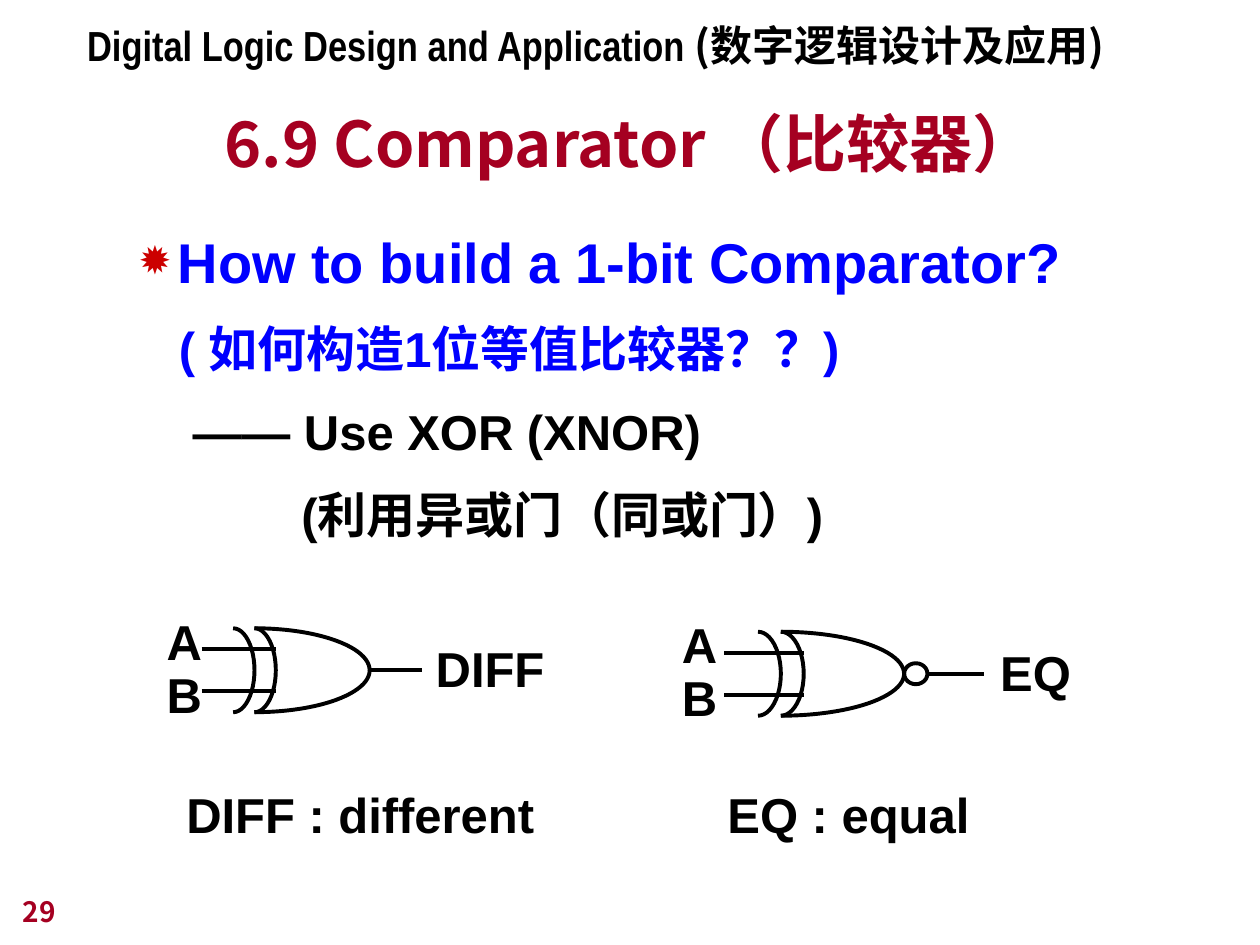
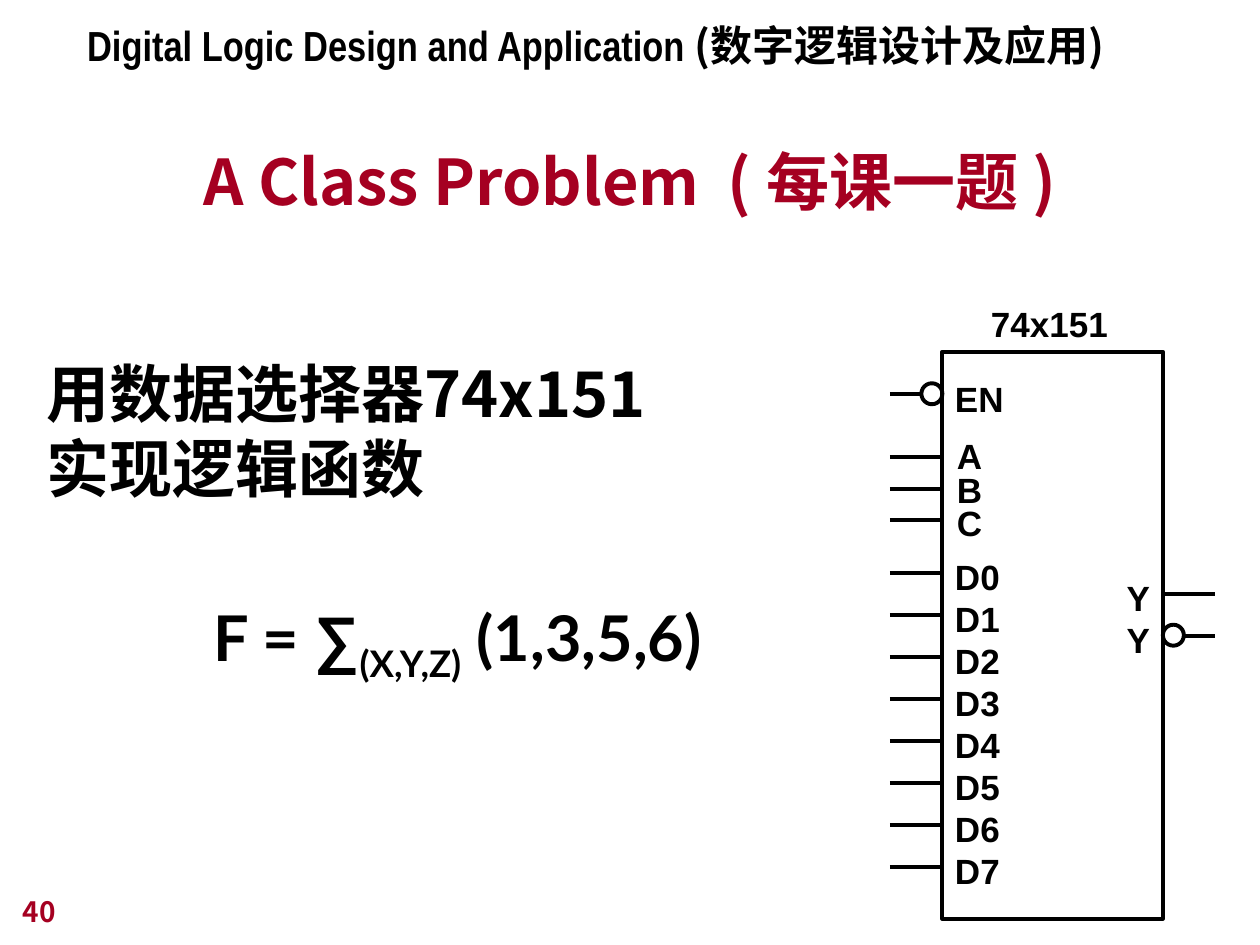
"""Build two slides on comparators and a multiplexer class problem."""
import lxml.etree
import pptx
import pptx.dml.color
import pptx.enum.shapes
import pptx.enum.text
import pptx.oxml.ns
import pptx.util

Pt = pptx.util.Pt
qn = pptx.oxml.ns.qn
Shape = pptx.enum.shapes.MSO_SHAPE
Anchor = pptx.enum.text.MSO_ANCHOR
Align = pptx.enum.text.PP_ALIGN

HUES = {"ink": "000000", "wine": "A50021", "blue": "0000FF", "red": "CC0000"}
CJK = "Noto Sans CJK JP"
LABEL = {"name": "Arial", "size": 28, "bold": True, "hue": "ink"}
PIN = LABEL | {"size": 20}
TITLE = LABEL | {"name": CJK, "size": 36, "hue": "wine"}
TASK = TITLE | {"hue": "ink"}
HEAD = LABEL | {"name": "Arial Narrow", "size": 24}
PAGE = TITLE | {"size": 16}
SUM = LABEL | {"name": "Lato", "size": 36}


def text(shape, box, paras, look, space=1.0, anchor=Anchor.TOP, align=Align.LEFT, wrap=False):
    shape.left, shape.top, shape.width, shape.height = map(Pt, box)
    frame = shape.text_frame
    frame.auto_size = pptx.enum.text.MSO_AUTO_SIZE.NONE
    frame.word_wrap, frame.vertical_anchor = wrap, anchor
    for i, runs in enumerate(paras):
        para = frame.add_paragraph() if i else frame.paragraphs[0]
        para.alignment, para.line_spacing, para.space_before = align, space, Pt(0)
        for words, extra in [(runs, {})] if isinstance(runs, str) else runs:
            if words == "\n":
                para.add_line_break()
                continue
            run = para.add_run()
            run.text = words
            form = look | extra
            vals = {"name": form["name"], "size": Pt(form["size"]), "bold": form["bold"]}
            for key, val in vals.items():
                setattr(run.font, key, val)
            run.font.color.rgb = pptx.dml.color.RGBColor.from_string(HUES[form["hue"]])
            props = run._r.get_or_add_rPr()
            lxml.etree.SubElement(props, qn("a:ea")).set("typeface", CJK)
            if "base" in form:
                props.set("baseline", form["base"])
    return frame


def label(page, *args, **opts):
    return text(page.shapes.add_textbox(0, 0, 0, 0), *args, **opts)


deck = pptx.Presentation()
deck.slide_width, deck.slide_height = Pt(720), Pt(540)
drawn = []
wires = []

gates, task = [deck.slides.add_slide(deck.slide_layouts[i]) for i in (1, 5)]
for page, num in [(gates, "29"), (task, "40")]:
    label(page, (42.7, 7.6, 600, 36),
          [[("Digital Logic Design and Application ", {}), ("(数字逻辑设计及应用)", {"name": CJK})]],
          HEAD, wrap=True)
    label(page, (6, 498.2, 150, 36), [num], PAGE, anchor=Anchor.BOTTOM, wrap=True)

heads = [(gates.shapes.title, 46.8, "6.9 Comparator （比较器）"),
         (task.shapes.add_textbox(0, 0, 0, 0), 68.4, "A Class Problem  ( 每课一题 )")]
for shape, top, words in heads:
    text(shape, (54, top, 612, 60), [words], TITLE,
         anchor=Anchor.BOTTOM, align=Align.CENTER, wrap=True)

items = [[("How to build a 1-bit Comparator?", {"size": 32, "hue": "blue"})],
         [("( 如何构造1位等值比较器？？)", {"hue": "blue"})],
         "—— Use XOR (XNOR)",
         "(利用异或门（同或门）)"]
body = text(gates.placeholders[1], (36, 118.8, 648, 242), items, LABEL, space=1.2, wrap=True)
for i, (para, left) in enumerate(zip(body.paragraphs, (58.3, 59, 66.8, 129))):
    para.level = 1
    props = para._p.get_or_add_pPr()
    props.set("marL", str(Pt(left)))
    props.set("indent", str(Pt(0 if i else -22.3)))
    if i:
        para.space_before = Pt(7)
        lxml.etree.SubElement(props, qn("a:buNone"))
    else:
        tint = lxml.etree.SubElement(props, qn("a:buClr"))
        lxml.etree.SubElement(tint, qn("a:srgbClr")).set("val", HUES["red"])
        lxml.etree.SubElement(props, qn("a:buSzPct")).set("val", "70000")
        lxml.etree.SubElement(props, qn("a:buChar")).set("char", "✹")

UP, RIGHT, DOWN = 162, 0, 54
for x, y, unit, bubble, end, left, wide, name, out, span in [
        (145.4, 383, 12.2, 0, 241.2, 88.1, 34.6, "DIFF", 241.9, 76.3),
        (446.2, 385, 13.05, 13.3, 562.3, 382.6, 37.4, "EQ", 564.5, 54.7)]:
    for mid, reach, first, last in [(x - unit, unit, UP, DOWN), (x, unit, UP, DOWN),
                                    (x, 5.4 * unit, UP, RIGHT), (x, 5.4 * unit, RIGHT, DOWN)]:
        arc = gates.shapes.add_shape(Shape.ARC, *map(Pt, (mid - reach, y - 24, 2 * reach, 48)))
        arc.adjustments[0], arc.adjustments[1] = first, last
        drawn.append(arc)
    tip = x + 5.4 * unit
    if bubble:
        drawn.append(gates.shapes.add_shape(
            Shape.OVAL, *map(Pt, (tip, y - 6, bubble, 12))))
    wires += [(gates, x - 2.48 * unit, x + unit, y + gap) for gap in (-12, 12)]
    wires.append((gates, tip + bubble, end, y))
    label(gates, (left, y - 33.3, wide, 67.7), ["A", "B"], LABEL, space=0.9)
    label(gates, (out, y - 21.6, span, 41), [name], LABEL)

for left, wide, words in [(99.4, 213.1, "DIFF : different"), (408.6, 152.6, "EQ : equal")]:
    label(gates, (left, 445, wide, 41), [words], LABEL)

text(task.shapes.title, (19.4, 167.8, 402.5, 124.6),
     [[("用数据选择器74x151", {}), ("\n", {}), ("实现逻辑函数", {})]],
     TASK, anchor=Anchor.BOTTOM, wrap=True)
label(task, (114.9, 313.9, 310.3, 81.4),
      [[("F = ", {}), ("∑", {"name": "Arial"}), ("(X,Y,Z)", {"base": "-25000"}),
        (" (1,3,5,6)", {})]], SUM, space=1.5)

for kind, box in [(Shape.RECTANGLE, (538.5, 201, 126, 324)),
                  (Shape.OVAL, (526.5, 219, 12, 12)),
                  (Shape.OVAL, (664.5, 357, 12, 12))]:
    drawn.append(task.shapes.add_shape(kind, *map(Pt, box)))
for box, names, space in [
        ((559.2, 169.2, 81.4, 31.7), ["74x151"], 1),
        ((538.6, 210, 41.8, 33.8), ["EN"], 1.1),
        ((539.7, 249.4, 28.8, 64.8), list("ABC"), 0.8),
        ((538.6, 313.9, 39.6, 199.4), [f"D{i}" for i in range(8)], 1),
        ((636.7, 325.8, 27.4, 55.4), ["Y", "Y"], 1)]:
    label(task, box, names, PIN, space=space)
rows = [261.2 + 18 * i for i in range(3)] + [327.2 + 24 * i for i in range(8)]
wires += [(task, 508.5, 538.5, y) for y in rows]
wires += [(task, 508.5, 526.5, 225.2), (task, 664.5, 694.5, 339.2), (task, 676.5, 694.5, 363.2)]

for page, start, end, y in wires:
    drawn.append(page.shapes.add_connector(
        pptx.enum.shapes.MSO_CONNECTOR.STRAIGHT, *map(Pt, (start, y, end, y))))
for shape in drawn:
    shape.line.color.rgb = pptx.dml.color.RGBColor.from_string(HUES["ink"])
    shape.line.width = Pt(2.25)
    if hasattr(shape, "fill"):
        shape.fill.background()
        shape.shadow.inherit = False
    else:
        lxml.etree.SubElement(shape._element.spPr, qn("a:effectLst"))

deck.save("out.pptx")
